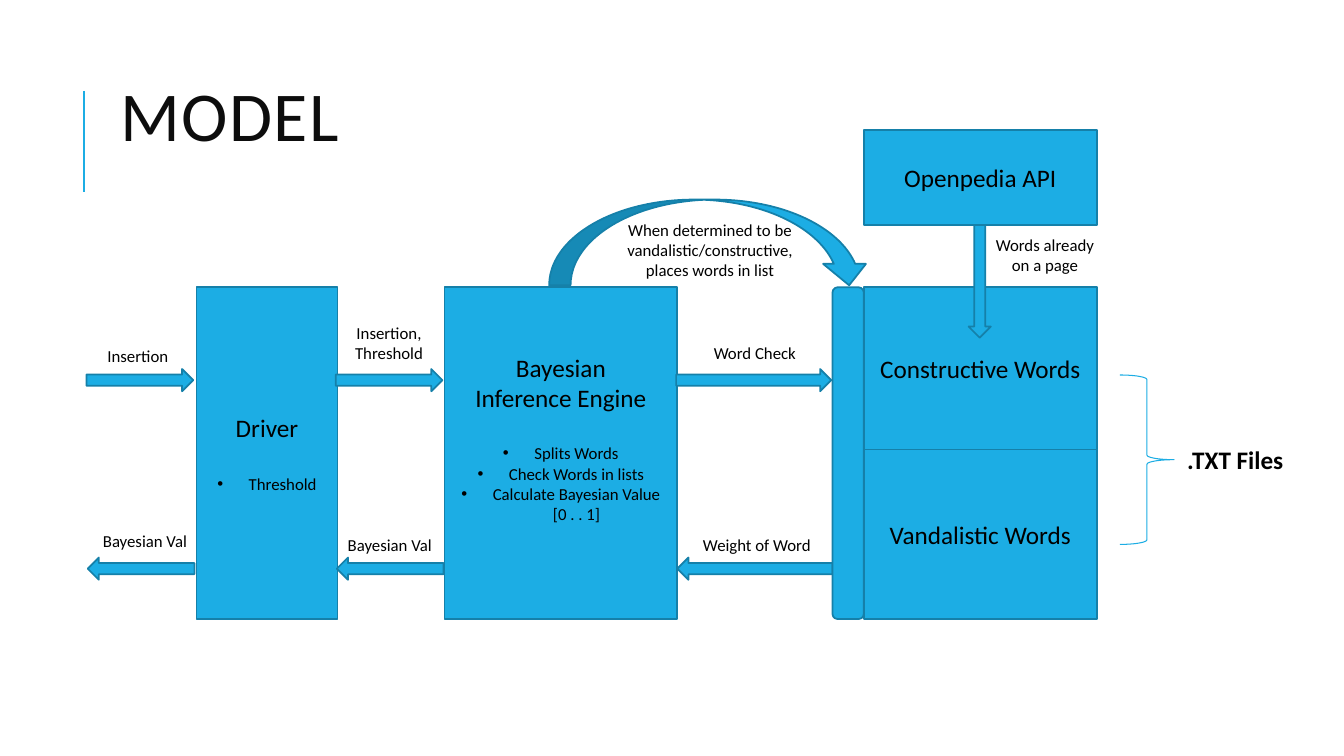
from collections import namedtuple
from dataclasses import dataclass

from lxml.etree import SubElement
from pptx import Presentation
from pptx.dml.color import RGBColor
from pptx.enum.shapes import MSO_CONNECTOR, MSO_SHAPE
from pptx.enum.text import MSO_ANCHOR, PP_ALIGN
from pptx.oxml.ns import qn
from pptx.util import Cm, Pt


@dataclass(frozen=True)
class Theme:
    """Colours, font and type sizes of the slide."""
    accent: RGBColor = RGBColor(0x1C, 0xAD, 0xE4)
    outline: RGBColor = RGBColor(0x15, 0x80, 0xA9)
    ink: RGBColor = RGBColor(0, 0, 0)
    title_ink: RGBColor = RGBColor(0x0D, 0x0D, 0x0D)
    font: str = "Calibri"
    title: int = 50
    heading: int = 18
    note: int = 12
    heading_gap: int = 22


THEME = Theme()
Box = namedtuple("Box", "left top width height")


def within(box, left, top, width, height):
    """Return a box given relative to the corner of another."""
    return Box(box.left + left, box.top + top, width, height)


def lengths(box):
    """Turn a box in centimetres into slide lengths."""
    return [Cm(round(side, 2)) for side in box]


def write(paragraph, wording, size, align=PP_ALIGN.CENTER, color=THEME.ink, bold=False):
    """Add one styled run to a paragraph and return it."""
    paragraph.alignment = align
    run = paragraph.add_run()
    run.text = wording
    run.font.name, run.font.size, run.font.bold = THEME.font, Pt(size), bold
    run.font.color.rgb = color
    return run


def label(slide, box, wording, size=THEME.note, **style):
    """Place a wrapped line of text and return its run."""
    caption = slide.shapes.add_textbox(*lengths(box)).text_frame
    caption.word_wrap = True
    return write(caption.paragraphs[0], wording, size, **style)


def solid(slide, kind, box):
    """Place an accent shape with a darker outline."""
    block = slide.shapes.add_shape(kind, *lengths(box))
    block.shadow.inherit = False
    block.fill.solid()
    block.fill.fore_color.rgb = THEME.accent
    block.line.color.rgb = THEME.outline
    block.line.width = Pt(1.25)
    return block


def bullet(paragraph):
    """Give a paragraph a hanging bullet."""
    properties = paragraph._p.get_or_add_pPr()
    properties.set("marL", str(Cm(0.79)))
    properties.set("indent", str(-Cm(0.79)))
    SubElement(properties, qn("a:buFont"), typeface="Arial")
    SubElement(properties, qn("a:buChar"), char="•")


def component(slide, box, headings, duties=(), foot=0):
    """Draw a model component with its headings and bulleted duties."""
    frame = solid(slide, MSO_SHAPE.RECTANGLE, box).text_frame
    frame.word_wrap = True
    frame.vertical_anchor = MSO_ANCHOR.MIDDLE
    frame.margin_bottom = Cm(0.13 + foot)
    entries = [(heading, THEME.heading) for heading in headings]
    entries += [(duty, THEME.note) for duty in duties]
    for index, (wording, size) in enumerate(entries):
        paragraph = frame.add_paragraph() if index else frame.paragraphs[0]
        if index == len(headings):
            paragraph.space_before = Pt(THEME.heading_gap)
        if index >= len(headings):
            bullet(paragraph)
        write(paragraph, wording, size)


def title(slide, box):
    """Draw the title and the rule on its left."""
    rule = slide.shapes.add_connector(
        MSO_CONNECTOR.STRAIGHT, Cm(box.left), Cm(box.top + 0.61),
        Cm(box.left), Cm(box.top + 3.15))
    rule.line.color.rgb = THEME.accent
    rule.line.width = Pt(1.5)
    SubElement(rule._element.spPr, qn("a:effectLst"))
    heading = label(slide, within(box, 0.68, 0, box.width - 0.68, 2.39), "MODEL",
                    THEME.title, align=PP_ALIGN.LEFT, color=THEME.title_ink)
    heading.font._element.set("spc", "100")


def exchange(slide, box, request, reply):
    """Draw a request arrow and a reply arrow, each below its label."""
    solid(slide, MSO_SHAPE.RIGHT_ARROW, within(box, 0, 2.06, box.width, 0.56))
    solid(slide, MSO_SHAPE.LEFT_ARROW, within(box, 0.03, 6.81, box.width, 0.56))
    for wording, left, top, height in (request, reply):
        label(slide, within(box, left, top, box.width, height), wording)


def word_lists(slide, box):
    """Draw the two word lists and the bar that fronts them."""
    bar, upper = 0.79, 4.09
    width = box.width - bar
    component(slide, within(box, bar, 0, width, upper), ["Constructive Words"])
    component(slide, within(box, bar, upper, width, box.height - upper), ["Vandalistic Words"])
    solid(slide, MSO_SHAPE.ROUNDED_RECTANGLE, within(box, 0, 0, bar, box.height))


def text_files(slide, box):
    """Draw the brace and the file type it stands for."""
    brace = slide.shapes.add_shape(
        MSO_SHAPE.RIGHT_BRACE, *lengths(within(box, 0, 0, 1.37, box.height)))
    brace.shadow.inherit = False
    brace.fill.background()
    brace.line.color.rgb = THEME.accent
    brace.line.width = Pt(0.75)
    label(slide, within(box, 1.45, 1.63, 3.07, 1.02), ".TXT Files", THEME.heading,
          align=PP_ALIGN.LEFT, bold=True)


def page_source(slide, box):
    """Draw the API and the page words it passes down."""
    component(slide, within(box, 0, 0, box.width, 2.39), ["Openpedia API"])
    solid(slide, MSO_SHAPE.DOWN_ARROW, within(box, 2.64, 2.39, 0.56, 2.84))
    label(slide, within(box, 2.95, 2.51, 3.23, 1.27), "Words already on a page")


def feedback(slide, box):
    """Draw the curved arrow that files words into a list."""
    solid(slide, MSO_SHAPE.CURVED_DOWN_ARROW, box)
    label(slide, within(box, 1.45, 0.38, 5.21, 1.8),
          "When determined to be vandalistic/constructive, places words in list")


def model_slide(slide, box):
    """Draw the whole model on the slide."""
    top, height = 7.24, 8.36
    title(slide, within(box, 2.11, 1.68, 21.74, 3.15))
    component(slide, within(box, 4.95, top, 3.56, height), ["Driver"], ["Threshold"])
    component(slide, within(box, 11.2, top, 5.87, height),
              ["Bayesian", "Inference Engine"],
              ["Splits Words", "Check Words in lists", "Calculate Bayesian Value [0 . . 1]"],
              foot=0.77)
    exchange(slide, within(box, 2.18, top, 2.69, height),
             ("Insertion", -0.05, 1.35, 0.76), ("Bayesian Val", 0.13, 6.02, 0.76))
    exchange(slide, within(box, 8.46, top, 2.69, height),
             ("Insertion, Threshold", 0, 0.76, 1.27), ("Bayesian Val", 0.02, 6.12, 0.76))
    exchange(slide, within(box, 17.04, top, 3.91, height),
             ("Word Check", 0.03, 1.27, 0.76), ("Weight of Word", 0.08, 6.1, 0.76))
    word_lists(slide, within(box, 20.98, top, 6.66, height))
    text_files(slide, within(box, 28.22, 9.45, 4.52, 4.27))
    page_source(slide, within(box, 21.77, 3.28, 5.87, 5.23))
    feedback(slide, within(box, 13.84, 5.03, 8.1, 2.16))


deck = Presentation()
deck.slide_width, deck.slide_height = Cm(33.87), Cm(19.05)
model_slide(deck.slides.add_slide(deck.slide_layouts[6]), Box(0, 0, 33.87, 19.05))
deck.save("out.pptx")
